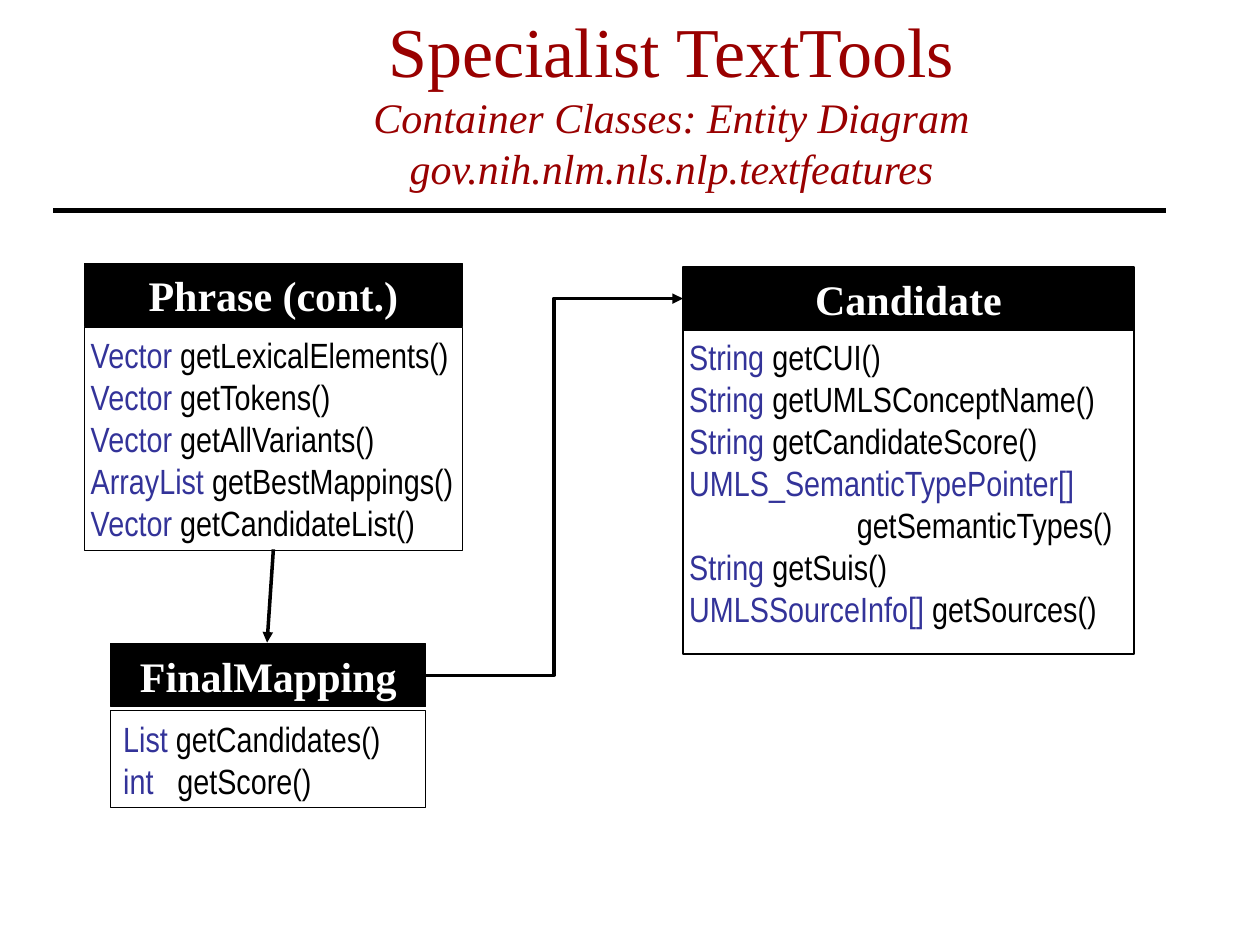
"""Build the entity diagram slide of the container classes."""
from lxml.etree import SubElement
from pptx import Presentation
from pptx.dml.color import RGBColor
from pptx.enum.shapes import MSO_CONNECTOR, MSO_SHAPE
from pptx.enum.text import MSO_ANCHOR, MSO_AUTO_SIZE, PP_ALIGN
from pptx.oxml.ns import qn
from pptx.util import Inches, Pt

COLORS = {"title": "990000", "ink": "000000", "paper": "FFFFFF", "type": "333399"}
SERIF, NARROW = "Times New Roman", "Arial Narrow"


class Sheet:
    def __init__(self, slide):
        self.slide = slide

    def color(self, name):
        return RGBColor.from_string(COLORS[name])

    def style(self, run, face, size, color, bold=False, italic=False):
        font = run.font
        font.name, font.size = face, Pt(size)
        font.bold, font.italic = bold, italic
        font.color.rgb = self.color(color)

    def frame(self, shape, inset, anchor):
        frame = shape.text_frame
        frame.word_wrap = True
        frame.auto_size = MSO_AUTO_SIZE.NONE
        frame.vertical_anchor = anchor
        frame.margin_left = frame.margin_right = Inches(inset)
        frame.margin_top = frame.margin_bottom = Inches(0.05)
        return frame

    def title(self, head, *subs):
        shape = self.slide.shapes.title
        shape.left, shape.top = Inches(0.83), Inches(0.17)
        shape.width, shape.height = Inches(9), Inches(1.25)
        frame = self.frame(shape, 0.1, MSO_ANCHOR.MIDDLE)
        frame.text = "\v".join((head, *subs))
        para = frame.paragraphs[0]
        para.alignment = PP_ALIGN.CENTER
        first, *rest = para.runs
        self.style(first, SERIF, 40, "title")
        for run in rest:
            self.style(run, SERIF, 24, "title", italic=True)

    def rect(self, left, top, width, height):
        shape = self.slide.shapes.add_shape(
            MSO_SHAPE.RECTANGLE, Inches(left), Inches(top), Inches(width), Inches(height))
        shape.shadow.inherit = False
        shape.line.color.rgb = self.color("ink")
        shape.line.width = Pt(0.75)
        return shape

    def header(self, text, left, top, width):
        shape = self.rect(left, top, width, 0.5)
        shape.fill.solid()
        shape.fill.fore_color.rgb = self.color("ink")
        frame = self.frame(shape, 0.1, MSO_ANCHOR.MIDDLE)
        frame.text = text
        para = frame.paragraphs[0]
        para.alignment = PP_ALIGN.CENTER
        self.style(para.runs[0], SERIF, 24, "paper", bold=True)

    def body(self, rows, left, top, width, height, inset=0.05, anchor=MSO_ANCHOR.TOP):
        shape = self.rect(left, top, width, height)
        shape.fill.background()
        frame = self.frame(shape, inset, anchor)
        for index, (kind, call) in enumerate(rows):
            para = frame.add_paragraph() if index else frame.paragraphs[0]
            para.alignment = PP_ALIGN.LEFT
            props = para._p.get_or_add_pPr()
            if not kind:
                props.set("marL", str(Inches(1.33)))
            if call.startswith("\t"):
                tabs = SubElement(props, qn("a:tabLst"))
                SubElement(tabs, qn("a:tab"), pos=str(Inches(0.43)), algn="l")
            for text, color in ((kind, "type"), (call, "ink")):
                if text:
                    run = para.add_run()
                    run.text = text
                    self.style(run, NARROW, 20, color)

    def link(self, start, end, kind=MSO_CONNECTOR.STRAIGHT, width=2, arrow=True):
        line = self.slide.shapes.add_connector(
            kind, *(Inches(value) for value in (*start, *end)))
        line.line.color.rgb = self.color("ink")
        line.line.width = Pt(width)
        if arrow:
            SubElement(line.line._get_or_add_ln(), qn("a:tailEnd"), type="triangle")
        SubElement(line._element.spPr, qn("a:effectLst"))


def main():
    deck = Presentation()
    deck.slide_width, deck.slide_height = Inches(10), Inches(7.5)
    sheet = Sheet(deck.slides.add_slide(deck.slide_layouts[5]))
    sheet.title("Specialist TextTools", "Container Classes: Entity Diagram",
                "gov.nih.nlm.nls.nlp.textfeatures")

    sheet.header("Candidate", 5.42, 2.12, 3.58)
    sheet.body([
        ("String", " getCUI()"),
        ("String", " getUMLSConceptName()"),
        ("String", " getCandidateScore()"),
        ("UMLS_SemanticTypePointer[]", ""),
        ("", "getSemanticTypes()"),
        ("String", " getSuis()"),
        ("UMLSSourceInfo[]", " getSources()"),
    ], 5.42, 2.61, 3.58, 2.58)

    sheet.header("FinalMapping", 0.88, 5.11, 2.5)
    sheet.body([("List", " getCandidates()"), ("int", "\tgetScore()")],
               0.88, 5.64, 2.5, 0.77, inset=0.1, anchor=MSO_ANCHOR.MIDDLE)

    sheet.link((2.17, 4.36), (2.12, 5.1))
    sheet.link((3.37, 5.36), (5.42, 2.37), MSO_CONNECTOR.ELBOW)

    sheet.header("Phrase (cont.)", 0.67, 2.09, 3)
    sheet.body([
        ("Vector", " getLexicalElements()"),
        ("Vector", " getTokens()"),
        ("Vector", " getAllVariants()"),
        ("ArrayList", " getBestMappings()"),
        ("Vector", " getCandidateList()"),
    ], 0.67, 2.6, 3, 1.77)

    sheet.link((9.25, 1.67), (0.42, 1.67), width=3, arrow=False)
    deck.save("out.pptx")


if __name__ == "__main__":
    main()
